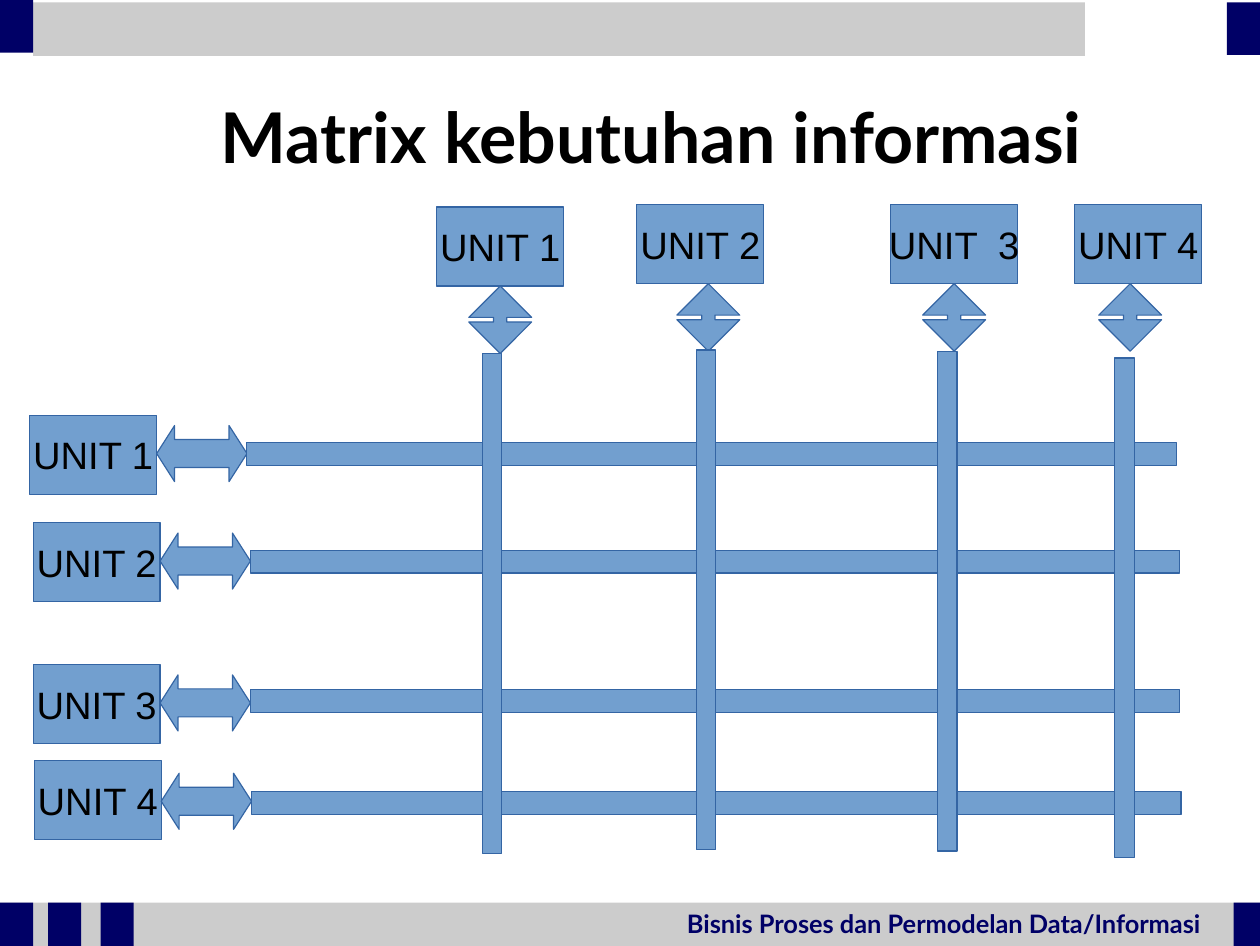
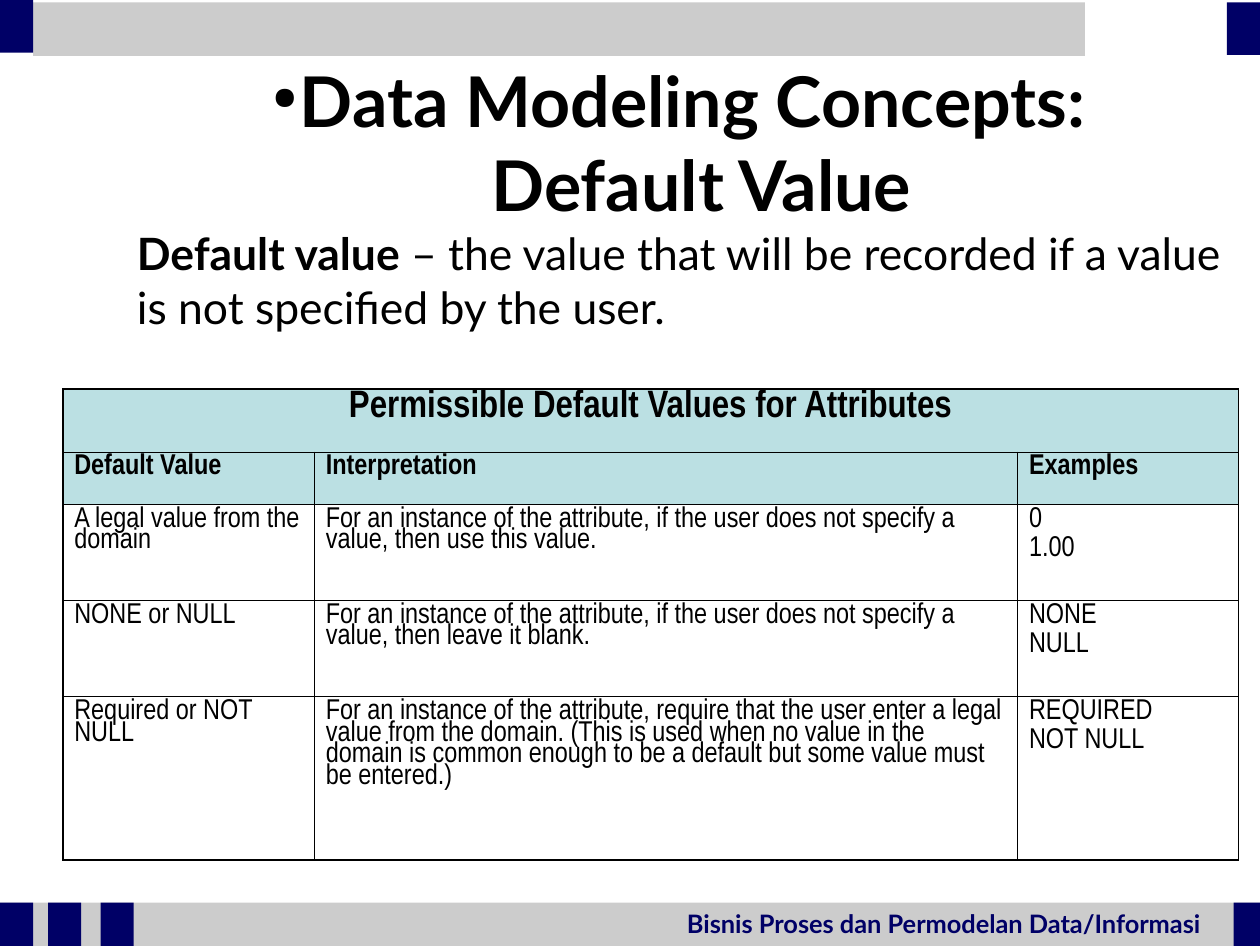
"""Build two slides on information needs and default values."""
from dataclasses import dataclass

from lxml.etree import SubElement
from pptx import Presentation
from pptx.dml.color import RGBColor
from pptx.enum.shapes import MSO_SHAPE
from pptx.enum.text import MSO_ANCHOR, PP_ALIGN
from pptx.oxml import parse_xml
from pptx.oxml.ns import nsdecls, qn
from pptx.util import Inches, Pt


@dataclass(frozen=True)
class Theme:
    """Colours, fonts and type sizes."""
    navy: str = "000066"
    grey: str = "CCCCCC"
    blue: str = "729FCF"
    edge: str = "3465A4"
    teal: str = "BBE0E3"
    white: str = "FFFFFF"
    black: str = "000000"
    sans: str = "Lato"
    label: str = "Arial"
    narrow: str = "Arial Narrow"
    title: float = 44
    body: float = 28
    heading: float = 24
    cell: float = 18
    footer: float = 16
    outer: float = 1.08
    inner: float = 0.45


@dataclass(frozen=True)
class Box:
    """A place on the grid: left column, top row, columns, rows."""
    x: float
    y: float
    w: float
    h: float

    def emu(self):
        """Return the place in slide units."""
        return tuple(grid(v) for v in (self.x, self.y, self.w, self.h))


@dataclass(frozen=True)
class Band:
    """A plain bar of the slide frame."""
    box: Box
    color: str


@dataclass(frozen=True)
class Lane:
    """A unit box, the offset of its arrow, and the corner of its bar."""
    text: str
    x: float
    y: float
    shift: float
    bar_x: float
    bar_y: float


T = Theme()
COLS, ROWS = 110.2, 82.7
UNIT_W, UNIT_H = 11.1, 6.9
FOOT_Y, FOOT_H = 78.9, 3.8

BANDS = [
    Band(Box(0, FOOT_Y, COLS, FOOT_H), T.grey),
    Band(Box(107.9, FOOT_Y, 2.3, FOOT_H), T.navy),
    *(Band(Box(x, FOOT_Y, 2.9, FOOT_H), T.navy) for x in (0, 4.2, 8.8)),
    Band(Box(2.9, 0.2, 92, 4.7), T.grey),
    Band(Box(107.3, 0.2, 2.9, 4.6), T.navy),
    Band(Box(0, 0, 2.9, 4.6), T.navy),
]

ACROSS = [
    Lane("UNIT 1", 2.6, 36.3, 0.9, 21.6, 38.7),
    Lane("UNIT 2", 2.9, 45.7, 0.9, 21.9, 48.1),
    Lane("UNIT 3", 2.9, 58.1, 0.9, 21.9, 60.3),
    Lane("UNIT 4", 3, 66.5, 1.1, 22, 69.2),
]
DOWN = [
    Lane("UNIT 1", 38.2, 18.1, 2.8, 42.2, 30.9),
    Lane("UNIT 2", 55.7, 17.9, 3.5, 60.9, 30.6),
    Lane("UNIT  3", 77.9, 17.9, 2.8, 82, 30.7),
    Lane("UNIT 4", 94, 17.9, 2.1, 97.5, 31.3),
]

TABLE = [
    ("Permissible Default Values for Attributes", "", ""),
    ("Default Value", "Interpretation", "Examples"),
    ("A legal value from the domain",
     "For an instance of the attribute, if the user does not specify a value, "
     "then use this value.",
     "0\n1.00"),
    ("NONE or NULL",
     "For an instance of the attribute, if the user does not specify a value, "
     "then leave it blank.",
     "NONE\nNULL"),
    ("Required or NOT NULL",
     "For an instance of the attribute, require that the user enter a legal value "
     "from the domain. (This is used when no value in the domain is common enough "
     "to be a default but some value must be entered.)",
     "REQUIRED\nNOT NULL"),
]
TABLE_COLS = (22, 61.5, 19.3)
TABLE_ROWS = (5.5, 4.6, 8.4, 8.4, 14.3)


def grid(cells: float) -> int:
    """Turn grid cells, a tenth of an inch each, into slide units."""
    return Inches(cells / 10)


def style(p, font: str, size: float, color: str = T.black, bold: bool = False):
    """Format every run of a paragraph."""
    for r in p.runs:
        r.font.name, r.font.size, r.font.bold = font, Pt(size), bold
        r.font.color.rgb = RGBColor.from_string(color)


def add_shape(slide, kind, box: Box, fill: str, line: str = ""):
    """Draw a flat preset shape."""
    sp = slide.shapes.add_shape(kind, *box.emu())
    sp.shadow.inherit = False
    sp.fill.solid()
    sp.fill.fore_color.rgb = RGBColor.from_string(fill)
    if line:
        sp.line.color.rgb = RGBColor.from_string(line)
        sp.line.width = Pt(0.75)
    else:
        sp.line.fill.background()
    return sp


def add_text(slide, box: Box, text: str, size: float, color: str = T.black):
    """Draw a bold wrapped text box and return its frame."""
    tf = slide.shapes.add_textbox(*box.emu()).text_frame
    tf.word_wrap = True
    tf.paragraphs[0].text = text
    style(tf.paragraphs[0], T.sans, size, color, True)
    return tf


def add_title(slide, box: Box, text: str):
    """Draw a centred title and return its paragraph."""
    tf = add_text(slide, box, text, T.title)
    tf.vertical_anchor = MSO_ANCHOR.MIDDLE
    tf.paragraphs[0].alignment = PP_ALIGN.CENTER
    return tf.paragraphs[0]


def add_bullet(p, indent: float):
    """Give a paragraph a small round bullet."""
    pPr = p._p.get_or_add_pPr()
    pPr.set("marL", str(grid(indent)))
    pPr.set("indent", str(-grid(indent)))
    color = SubElement(pPr, qn("a:buClr"))
    SubElement(color, qn("a:srgbClr"), val=T.black)
    SubElement(pPr, qn("a:buSzPct"), val="45000")
    SubElement(pPr, qn("a:buChar"), char="●")


def new_slide(prs):
    """Add a blank slide with the shared frame."""
    slide = prs.slides.add_slide(prs.slide_layouts[6])
    for band in BANDS:
        add_shape(slide, MSO_SHAPE.RECTANGLE, band.box, band.color)
    add_text(slide, Box(59.1, FOOT_Y, 47.5, 3.6),
             "Bisnis Proses dan Permodelan Data/Informasi", T.footer, T.navy)
    return slide


def add_lane(slide, lane: Lane, across: bool):
    """Draw a unit box with its double arrow and bar."""
    sp = add_shape(slide, MSO_SHAPE.RECTANGLE,
                   Box(lane.x, lane.y, UNIT_W, UNIT_H), T.blue, T.edge)
    tf = sp.text_frame
    tf.word_wrap = False
    tf.vertical_anchor = MSO_ANCHOR.MIDDLE
    p = tf.paragraphs[0]
    p.text, p.alignment = lane.text, PP_ALIGN.CENTER
    style(p, T.label, T.heading)
    if across:
        kind, head = MSO_SHAPE.LEFT_RIGHT_ARROW, 0.32
        arrow = Box(lane.x + UNIT_W, lane.y + lane.shift, 7.9, 4.9)
        bar = Box(lane.bar_x, lane.bar_y, 81.3, 2)
    else:
        kind, head = MSO_SHAPE.UP_DOWN_ARROW, 0.21
        arrow = Box(lane.x + lane.shift, lane.y + UNIT_H, 5.5, 5.9)
        bar = Box(lane.bar_x, lane.bar_y, 1.7, 43.7)
    add_shape(slide, kind, arrow, T.blue, T.edge).adjustments[1] = head
    add_shape(slide, MSO_SHAPE.RECTANGLE, bar, T.blue, T.edge)


def set_borders(cell, outer: dict[str, bool]):
    """Draw the four cell borders, thicker on outer sides."""
    tcPr = cell._tc.get_or_add_tcPr()
    for i, (side, is_outer) in enumerate(outer.items()):
        width = Pt(T.outer if is_outer else T.inner)
        tcPr.insert(i, parse_xml(
            f'<a:ln{side} {nsdecls("a")} w="{width}"><a:solidFill>'
            f'<a:srgbClr val="{T.black}"/></a:solidFill></a:ln{side}>'))


def fill_cell(cell, text: str, row: int):
    """Write and format one table cell."""
    cell.fill.solid()
    cell.fill.fore_color.rgb = RGBColor.from_string(T.teal if row < 2 else T.white)
    cell.text_frame.text = text
    for i, p in enumerate(cell.text_frame.paragraphs):
        p.line_spacing = 0.8
        p.space_before = Pt(4.5 if i else 0)
        if row == 0:
            p.alignment = PP_ALIGN.CENTER
        style(p, T.narrow, T.cell if row else T.heading, bold=row < 2)


def add_values_table(slide):
    """Draw the table of permissible default values."""
    box = Box(5.5, 34, sum(TABLE_COLS), sum(TABLE_ROWS))
    table = slide.shapes.add_table(len(TABLE_ROWS), len(TABLE_COLS), *box.emu()).table
    table.first_row = table.horz_banding = False
    for column, width in zip(table.columns, TABLE_COLS):
        column.width = grid(width)
    for row, height in zip(table.rows, TABLE_ROWS):
        row.height = grid(height)
    table.cell(0, 0).merge(table.cell(0, 2))
    last_row, last_col = len(TABLE_ROWS) - 1, len(TABLE_COLS) - 1
    for r, texts in enumerate(TABLE):
        for c, text in enumerate(texts):
            cell = table.cell(r, c)
            fill_cell(cell, text, r)
            set_borders(cell, {"L": c == 0, "R": r == 0 or c == last_col,
                               "T": r == 0, "B": r == last_row})


def build_matrix(prs):
    """Build the slide with the unit matrix."""
    slide = new_slide(prs)
    add_title(slide, Box(6.6, 7, 100.8, 9.7), "Matrix kebutuhan informasi")
    for lanes, across in ((ACROSS, True), (DOWN, False)):
        for lane in lanes:
            add_lane(slide, lane, across)


def build_defaults(prs):
    """Build the slide on default values."""
    slide = new_slide(prs)
    title = add_title(slide, Box(11, 5.5, 98.3, 13.8),
                      "Data Modeling Concepts: \vDefault Value")
    add_bullet(title, 2.4)
    tf = add_text(slide, Box(11, 19.3, 98.3, 12.3), "Default value", T.body)
    r = tf.paragraphs[0].add_run()
    r.text = " – the value that will be recorded if a value is not specified by the user."
    style(tf.paragraphs[0], T.sans, T.body)
    tf.paragraphs[0].runs[0].font.bold = True
    add_values_table(slide)


def main():
    """Build and save the presentation."""
    prs = Presentation()
    prs.slide_width, prs.slide_height = grid(COLS), grid(ROWS)
    build_matrix(prs)
    build_defaults(prs)
    prs.save("out.pptx")


if __name__ == "__main__":
    main()
